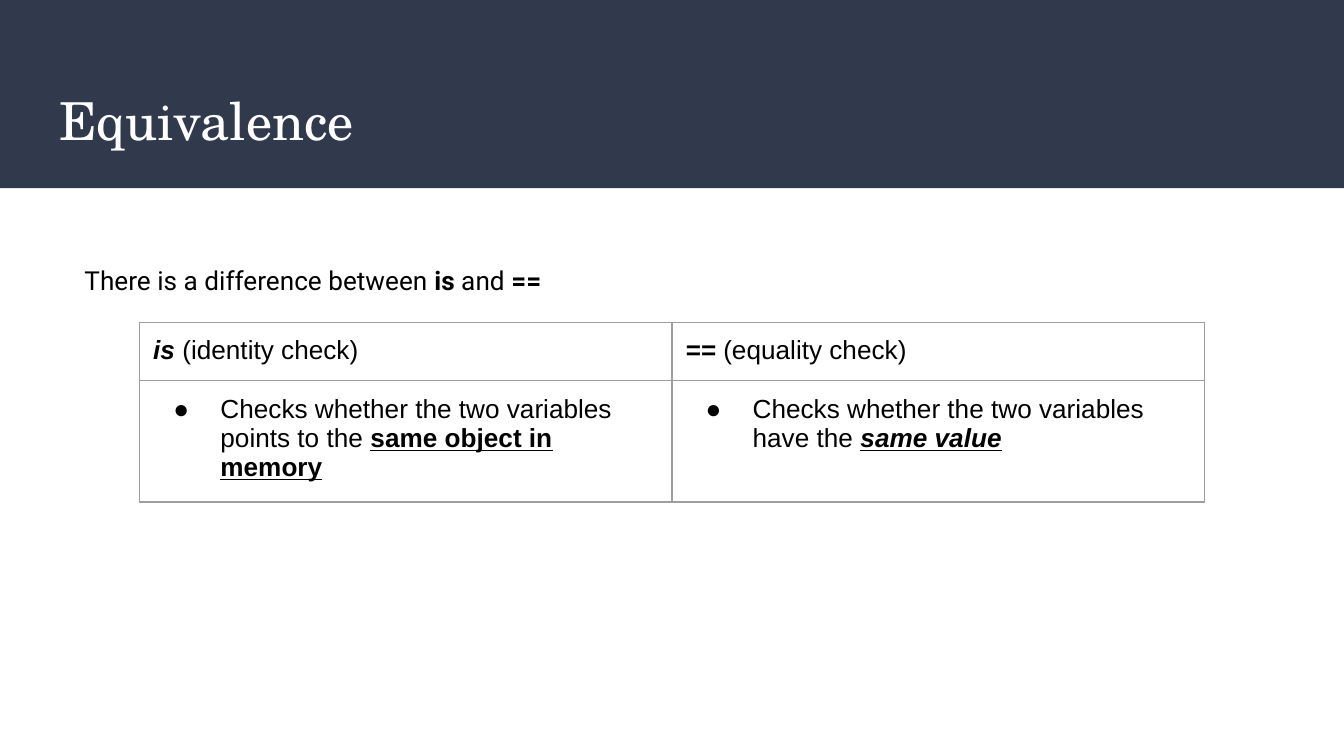
"""Build the slide that compares identity and equality checks."""

import dataclasses

import lxml.etree
import pptx
import pptx.dml.color
import pptx.enum.shapes
import pptx.enum.text
import pptx.oxml.ns
import pptx.util

Inches = pptx.util.Inches
Pt = pptx.util.Pt
qn = pptx.oxml.ns.qn

COLORS = {"band": "31394D", "title": "FFFFFF", "text": "000000", "border": "9E9E9E"}


@dataclasses.dataclass(frozen=True)
class Span:
    text: str
    style: dict = dataclasses.field(default_factory=dict)


@dataclasses.dataclass(frozen=True)
class Entry:
    spans: tuple[Span, ...]
    bulleted: bool = False


BOLD = {"bold": True}
BOLD_ITALIC = {"bold": True, "italic": True}

INTRO = (
    Span("There is a difference between "),
    Span("is", BOLD),
    Span(" and "),
    Span("==", BOLD),
)
ROWS = (
    (
        Entry((Span("is", BOLD_ITALIC), Span(" (identity check)"))),
        Entry((Span("==", BOLD_ITALIC), Span(" (equality check)"))),
    ),
    (
        Entry(
            (
                Span("Checks whether the two variables points to the "),
                Span("same object in memory", BOLD | {"underline": True}),
            ),
            bulleted=True,
        ),
        Entry(
            (
                Span("Checks whether the two variables have the "),
                Span("same value", BOLD_ITALIC | {"underline": True}),
            ),
            bulleted=True,
        ),
    ),
)
SLIDE_WIDTH = Inches(10)
SLIDE_HEIGHT = SLIDE_WIDTH * 9 // 16
COLUMN_WIDTH = 3.96
ROW_HEIGHTS = (0.43, 0.9)


def rgb(name: str) -> pptx.dml.color.RGBColor:
    """Return a named colour."""
    return pptx.dml.color.RGBColor.from_string(COLORS[name])


def set_values(target: object, values: dict) -> None:
    """Set each format value on the target."""
    for name, value in values.items():
        setattr(target, name, value)


def set_margins(target: object) -> None:
    """Give a text frame or a cell equal margins."""
    sides = ("left", "top", "right", "bottom")
    set_values(target, {f"margin_{side}": Inches(0.1) for side in sides})


def write_spans(para, spans: tuple[Span, ...], font: str, size: float, color: str) -> None:
    """Add formatted runs to a paragraph."""
    plain = {"name": font, "size": Pt(size), "bold": False, "italic": False}
    for span in spans:
        run = para.add_run()
        run.text = span.text
        set_values(run.font, plain | span.style)
        run.font.color.rgb = rgb(color)


def add_bullet(para) -> None:
    """Give a paragraph a hanging round bullet."""
    properties = para._p.get_or_add_pPr()
    properties.set("marL", str(Inches(0.5)))
    properties.set("indent", str(Inches(-0.35)))
    bullet_color = lxml.etree.SubElement(properties, qn("a:buClr"))
    lxml.etree.SubElement(bullet_color, qn("a:srgbClr"), val=COLORS["text"])
    lxml.etree.SubElement(properties, qn("a:buSzPts"), val="1400")
    lxml.etree.SubElement(properties, qn("a:buFont"), typeface="Arial")
    lxml.etree.SubElement(properties, qn("a:buChar"), char="●")


def add_borders(cell) -> None:
    """Draw thin lines on all four sides of a cell."""
    properties = cell._tc.get_or_add_tcPr()
    for index, side in enumerate(("lnL", "lnR", "lnT", "lnB")):
        line = lxml.etree.Element(qn(f"a:{side}"), w=str(Pt(0.75)))
        fill = lxml.etree.SubElement(line, qn("a:solidFill"))
        lxml.etree.SubElement(fill, qn("a:srgbClr"), val=COLORS["border"])
        properties.insert(index, line)


def add_title(slide) -> None:
    """Place the title on its dark band."""
    title = slide.shapes.title
    place = {"left": 0.34, "top": 0.55, "width": 9.32, "height": 0.68}
    set_values(title, {name: Inches(value) for name, value in place.items()})
    frame = title.text_frame
    set_margins(frame)
    frame.auto_size = pptx.enum.text.MSO_AUTO_SIZE.NONE
    frame.vertical_anchor = pptx.enum.text.MSO_ANCHOR.MIDDLE
    para = frame.paragraphs[0]
    para.alignment = pptx.enum.text.PP_ALIGN.LEFT
    write_spans(para, (Span("Equivalence"),), "TeX Gyre Schola", 28, "title")

    band = slide.shapes.add_shape(
        pptx.enum.shapes.MSO_SHAPE.RECTANGLE, 0, 0, SLIDE_WIDTH, Inches(1.4)
    )
    band.shadow.inherit = False
    band.fill.solid()
    band.fill.fore_color.rgb = rgb("band")
    band.line.fill.background()
    title.element.addprevious(band.element)


def add_intro(slide) -> None:
    """Add the sentence above the table."""
    box = slide.shapes.add_textbox(Inches(0.53), Inches(1.87), Inches(6.18), Inches(0.44))
    frame = box.text_frame
    frame.word_wrap = True
    frame.auto_size = pptx.enum.text.MSO_AUTO_SIZE.SHAPE_TO_FIT_TEXT
    set_margins(frame)
    write_spans(frame.paragraphs[0], INTRO, "Roboto", 14, "text")


def add_comparison(slide) -> None:
    """Add the table of the two operators."""
    table = slide.shapes.add_table(
        len(ROWS), len(ROWS[0]), Inches(1.04), Inches(2.4),
        Inches(COLUMN_WIDTH * len(ROWS[0])), Inches(sum(ROW_HEIGHTS)),
    ).table
    set_values(table, {"first_row": False, "horz_banding": False})
    for column in table.columns:
        column.width = Inches(COLUMN_WIDTH)
    for row, height, entries in zip(table.rows, ROW_HEIGHTS, ROWS):
        row.height = Inches(height)
        for cell, entry in zip(row.cells, entries):
            set_margins(cell)
            cell.fill.background()
            add_borders(cell)
            para = cell.text_frame.paragraphs[0]
            if entry.bulleted:
                add_bullet(para)
            write_spans(para, entry.spans, "Arial", 14, "text")


def main() -> None:
    """Build and save the deck."""
    deck = pptx.Presentation()
    set_values(deck, {"slide_width": SLIDE_WIDTH, "slide_height": SLIDE_HEIGHT})
    slide = deck.slides.add_slide(deck.slide_layouts.get_by_name("Title Only"))
    add_title(slide)
    add_intro(slide)
    add_comparison(slide)
    deck.save("out.pptx")


if __name__ == "__main__":
    main()
